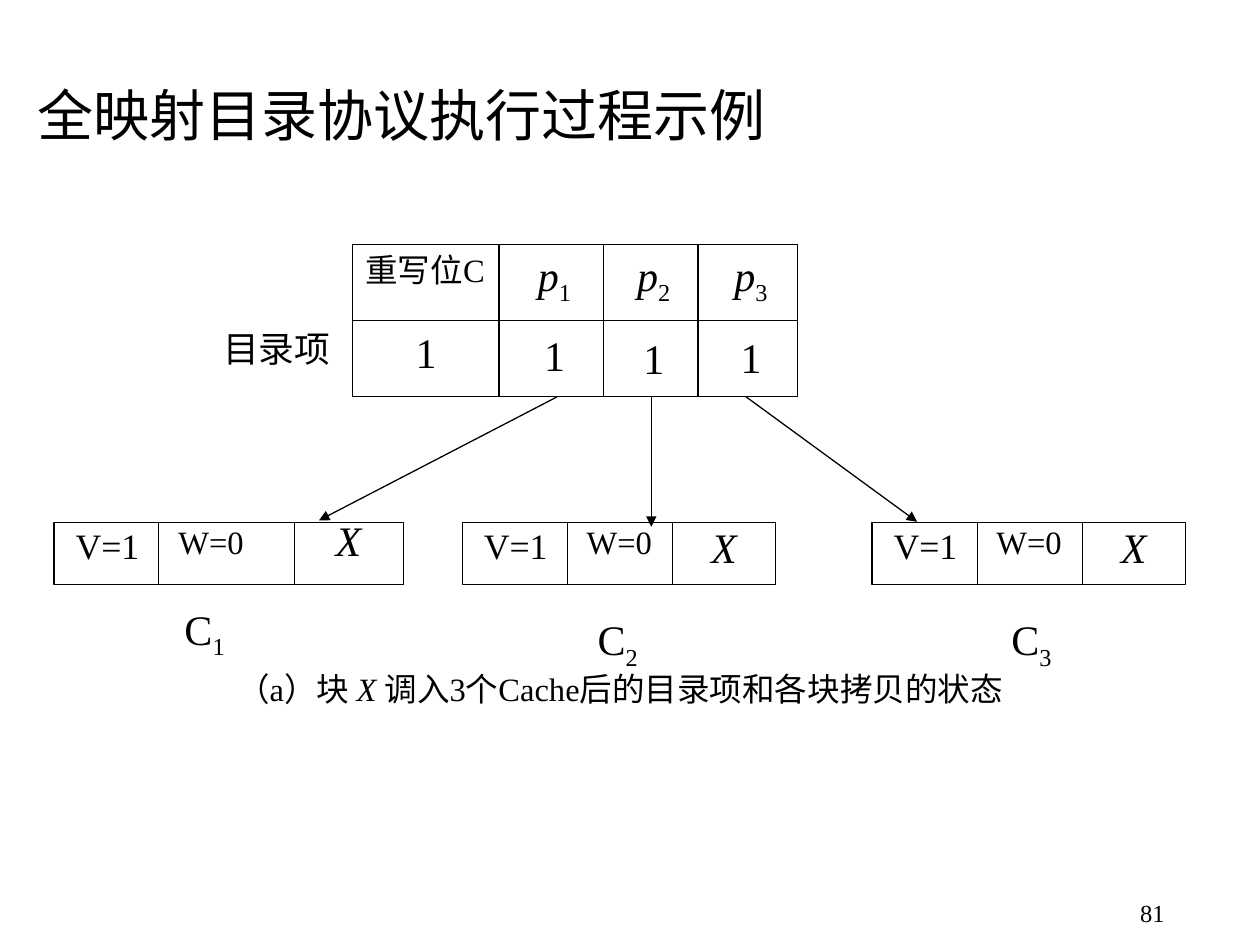
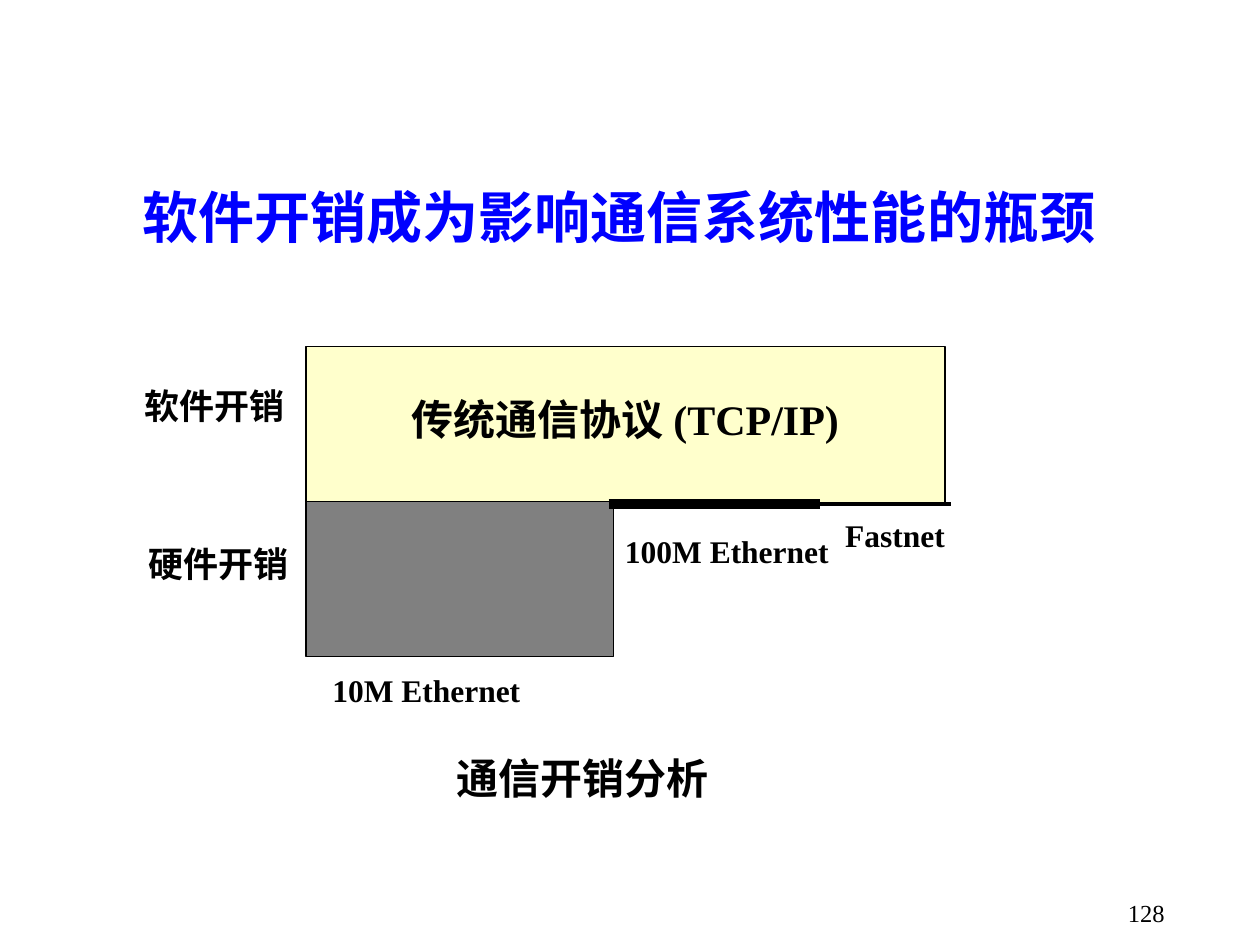
from lxml import etree
from pptx import Presentation
from pptx.dml.color import RGBColor
from pptx.enum.shapes import MSO_CONNECTOR, MSO_SHAPE
from pptx.enum.text import MSO_ANCHOR, MSO_AUTO_SIZE, PP_ALIGN
from pptx.oxml.ns import qn
from pptx.util import Cm, Pt

BLACK = RGBColor(0x00, 0x00, 0x00)
BLUE = RGBColor(0x00, 0x00, 0xFF)
CREAM = RGBColor(0xFF, 0xFF, 0xCC)
GRAY = RGBColor(0x80, 0x80, 0x80)
LATIN_FONT = "Times New Roman"
CHINESE_FONT = "Noto Sans CJK SC"
LEFT, CENTER, RIGHT = PP_ALIGN.LEFT, PP_ALIGN.CENTER, PP_ALIGN.RIGHT
JUSTIFY = PP_ALIGN.JUSTIFY
TOP, MIDDLE = MSO_ANCHOR.TOP, MSO_ANCHOR.MIDDLE
NO_FIT = MSO_AUTO_SIZE.NONE
RECTANGLE = MSO_SHAPE.RECTANGLE
STRAIGHT = MSO_CONNECTOR.STRAIGHT
TITLE_ONLY = 5
INSETS = (0.25, 0.13)
NARROW = (0.1, 0.13)


def write(box, spans, size=24, color=BLACK, bold=False, align=CENTER,
          spacing=None, anchor=TOP, insets=INSETS, latin=LATIN_FONT):
    """Fill a box with one paragraph of (text, style) spans or a plain string."""
    frame = box.text_frame
    frame.word_wrap = True
    frame.auto_size = NO_FIT
    frame.vertical_anchor = anchor
    frame.margin_left = frame.margin_right = Cm(insets[0])
    frame.margin_top = frame.margin_bottom = Cm(insets[1])
    para = frame.paragraphs[0]
    para.alignment = align
    if spacing:
        para.line_spacing = spacing
    for text, style in [(spans, "")] if isinstance(spans, str) else spans:
        span = para.add_run()
        span.text = text
        font = span.font
        font.name, font.size = latin, Pt(size)
        font.bold, font.italic = bold, style == "italic"
        font.color.rgb = color
        properties = span._r.get_or_add_rPr()
        etree.SubElement(properties, qn("a:ea"), typeface=CHINESE_FONT)
        if style == "subscript":
            properties.set("baseline", "-25000")


def add_text(page, spans, left, top, width, height, **formats):
    """Add a text box."""
    box = page.shapes.add_textbox(Cm(left), Cm(top), Cm(width), Cm(height))
    write(box, spans, **formats)


def add_label(page, spans, left, top, width=1.02, height=0.99, **formats):
    """Add a centred diagram label without insets."""
    add_text(page, spans, left, top, width, height, insets=(0, 0), **formats)


def add_box(page, left, top, width, height, fill=None):
    """Add a thinly outlined rectangle."""
    box = page.shapes.add_shape(RECTANGLE, Cm(left), Cm(top), Cm(width), Cm(height))
    box.shadow.inherit = False
    if fill is None:
        box.fill.background()
    else:
        box.fill.solid()
        box.fill.fore_color.rgb = fill
    box.line.color.rgb = BLACK
    box.line.width = Pt(0.75)
    return box


def add_line(page, start, end, weight=0.75, arrow=False):
    """Draw a straight line, optionally with an arrowhead at its end."""
    line = page.shapes.add_connector(
        STRAIGHT, Cm(start[0]), Cm(start[1]), Cm(end[0]), Cm(end[1]))
    line.line.color.rgb = BLACK
    line.line.width = Pt(weight)
    if arrow:
        etree.SubElement(line.line._get_or_add_ln(), qn("a:tailEnd"), type="triangle")
    etree.SubElement(line._element.spPr, qn("a:effectLst"))


def add_page(deck, title, place, number, **formats):
    """Add a slide with its title and page number."""
    page = deck.slides.add_slide(deck.slide_layouts[TITLE_ONLY])
    box = page.shapes.title
    box.left, box.top, box.width, box.height = map(Cm, place)
    write(box, title, size=32, anchor=MIDDLE, **formats)
    add_text(page, number, 18.85, 17.98, 4.88, 1.07, size=14, align=RIGHT)
    return page


def add_directory(page):
    """Draw the directory entry with its rewrite bit and three pointers."""
    left, top, width, height = 7.11, 4.93, 8.97, 3.06
    add_box(page, left, top, width, height)
    add_line(page, (left, 6.46), (left + width, 6.46))
    for divider in (10.06, 12.17, 14.07):
        add_line(page, (divider, top), (divider, top + height))
    add_label(page, "重写位C", 7.21, 5.21, width=2.72, size=18.6, spacing=0.76)
    add_label(page, "1", 8.08, 6.65, spacing=0.96)
    pointers = ((10.67, 6.71), (12.67, 6.78), (14.63, 6.76))
    for index, (pointer_left, value_top) in enumerate(pointers, 1):
        name = [("p", "italic"), (str(index), "subscript")]
        add_label(page, name, pointer_left, 5.21, spacing=0.72)
        add_label(page, "1", pointer_left, value_top, spacing=0.96)
    add_label(page, "目录项", 4.45, 6.76, width=2.26, height=0.91,
              size=20.4, spacing=0.78)


def add_cache(page, index, left, width, dividers, block, name):
    """Draw one cache line: valid bit, write bit, block X and its name."""
    top, height = 10.54, 1.24
    add_box(page, left, top, width, height)
    for divider in dividers:
        add_line(page, (left + divider, top), (left + divider, top + height))
    cells = (("V=1", 0.4, 10.85, 20.4, 0.62),
             ("W=0", 2.49, 10.85, 18.6, 0.52),
             ([("X", "italic")], *block, 24, 0.62))
    for text, offset, cell_top, size, spacing in cells:
        add_label(page, text, left + offset, cell_top, width=1.35, height=0.71,
                  size=size, spacing=spacing)
    add_label(page, [("C", ""), (str(index), "subscript")], left + name[0], name[1],
              width=1.09, height=0.91, spacing=0.78)


def build_directory_page(deck):
    """Show the full-map directory and the three cached copies."""
    page = add_page(deck, "全映射目录协议执行过程示例", (0.51, 1.32, 22.86, 1.96),
                    "81", align=LEFT)
    add_directory(page)
    caches = ((1.09, 7.04, (2.11, 4.85), (5.26, 10.72), (2.49, 12.29)),
              (9.32, 6.32, (2.12, 4.24), (4.6, 10.85), (2.59, 12.5)),
              (17.58, 6.32, (2.12, 4.24), (4.6, 10.85), (2.67, 12.5)))
    for index, cache in enumerate(caches, 1):
        add_cache(page, index, *cache)
    arrows = ((11.23, (6.43, 10.49)), (13.13, (13.13, 10.62)), (15.04, (18.49, 10.52)))
    for start, end in arrows:
        add_line(page, (start, 8), end, arrow=True)
    caption = [("（a）块 ", ""), ("X ", "italic"),
               ("调入3个Cache后的目录项和各块拷贝的状态", "")]
    add_label(page, caption, 3.84, 13.67, width=17.32, height=1.07,
              size=18.6, spacing=0.76)


def build_overhead_page(deck):
    """Compare software and hardware communication overhead."""
    page = add_page(deck, "软件开销成为影响通信系统性能的瓶颈", (2.11, 3.18, 20.75, 2.34),
                    "128", color=BLUE, bold=True, align=CENTER)
    software = add_box(page, 6.17, 6.99, 12.88, 3.18, fill=CREAM)
    write(software, "传统通信协议 (TCP/IP)", bold=True, spacing=1.8)
    add_box(page, 6.17, 10.11, 6.2, 3.12, fill=GRAY)
    add_line(page, (12.27, 10.16), (16.54, 10.16), weight=6)
    add_line(page, (16.08, 10.16), (19.18, 10.16), weight=2.25)
    labels = (("10M Ethernet", 6.45, 13.39, 5.05, 18, JUSTIFY, INSETS),
              ("100M Ethernet", 12.5, 10.59, 4.45, 18, JUSTIFY, NARROW),
              ("Fastnet", 16.94, 10.41, 3.38, 18, JUSTIFY, (0.1, 0)),
              ("硬件开销", 2.74, 10.8, 3.18, 20, RIGHT, NARROW),
              ("软件开销", 2.34, 7.62, 3.5, 20, RIGHT, NARROW))
    for text, left, top, width, size, align, insets in labels:
        add_text(page, text, left, top, width, 1.25, size=size, bold=True,
                 align=align, insets=insets)
    add_text(page, "通信开销分析", 6.99, 15.04, 9.52, 1.27, bold=True,
             latin=CHINESE_FONT)


def main():
    """Build and save the deck."""
    deck = Presentation()
    deck.slide_width, deck.slide_height = Cm(25.4), Cm(19.05)
    build_directory_page(deck)
    build_overhead_page(deck)
    deck.save("out.pptx")


if __name__ == "__main__":
    main()
